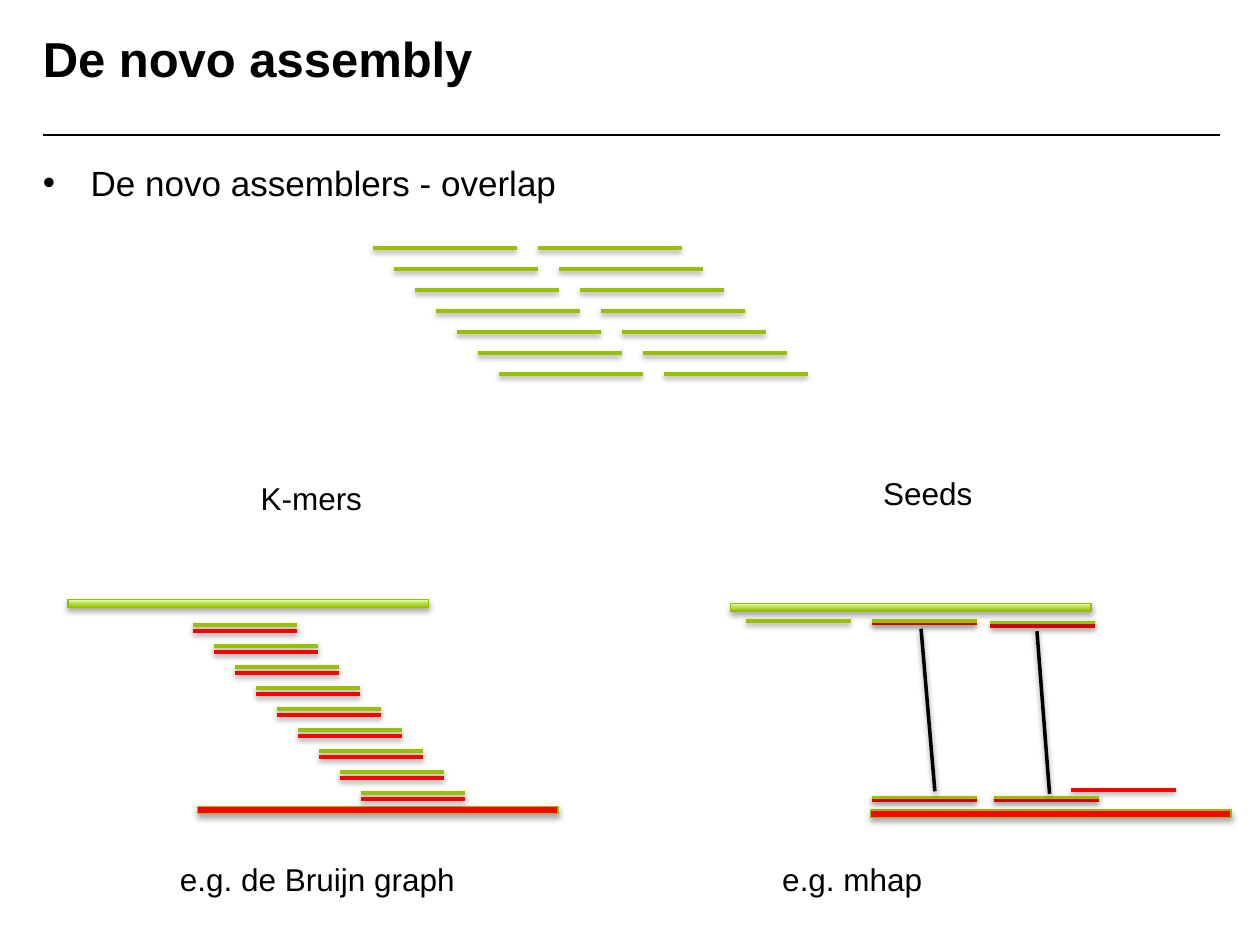
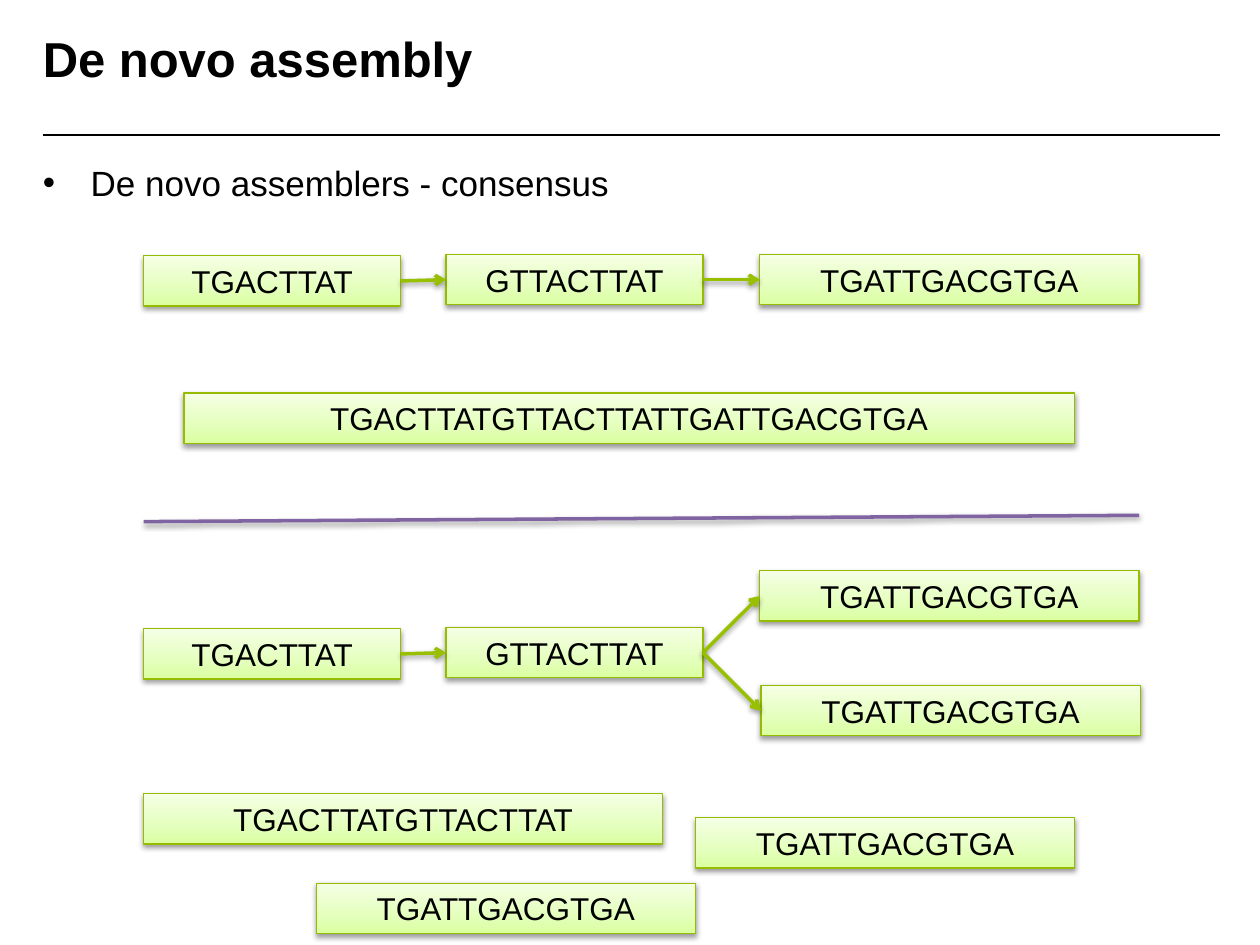
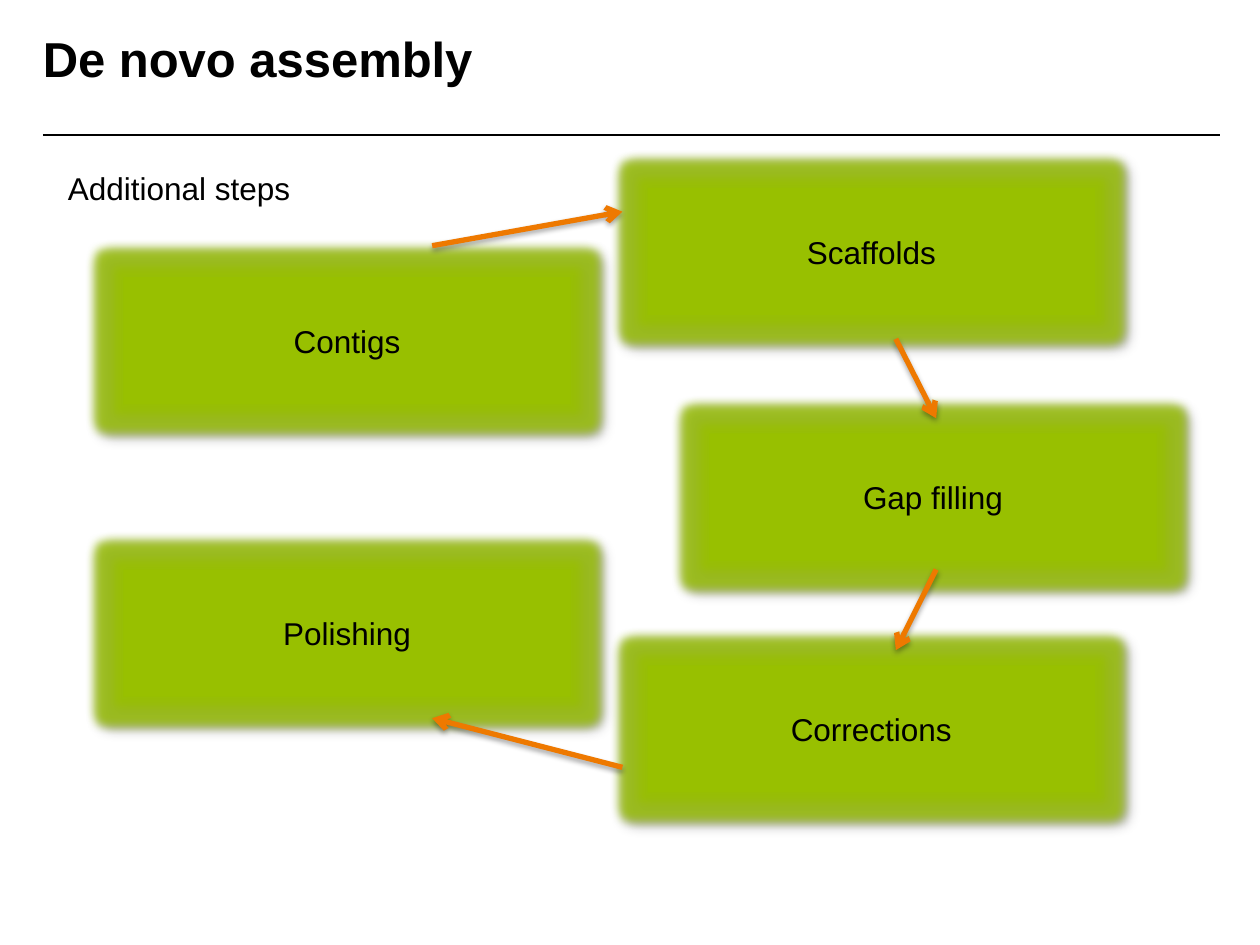
from lxml import etree
from pptx import Presentation
from pptx.dml.color import RGBColor
from pptx.enum.shapes import MSO_CONNECTOR, MSO_SHAPE
from pptx.enum.text import MSO_ANCHOR, PP_ALIGN
from pptx.oxml.ns import qn
from pptx.util import Inches, Pt

STRAIGHT = MSO_CONNECTOR.STRAIGHT
RECTANGLE = MSO_SHAPE.RECTANGLE
TOP, MIDDLE = MSO_ANCHOR.TOP, MSO_ANCHOR.MIDDLE
LEFT, CENTER = PP_ALIGN.LEFT, PP_ALIGN.CENTER

FONT = "Arial"
COLORS = {
    "black": "000000", "green": "98C000", "edge": "95BC00",
    "red": "FF0000", "purple": "8064A2", "orange": "EE7900",
    "pale": "DAFFA0", "paler": "E4FFBC", "palest": "F5FFE5",
}
GRADIENTS = {
    "bar": [(0, "green"), (100, "pale")],
    "sequence": [(0, "pale"), (35, "paler"), (100, "palest")],
}
# Shadows: opacity in percent, blur and distance in points, angle in degrees
SHADOWS = {
    "soft": (38, 3.15, 1.57, 90),
    "lower": (35, 3.15, 1.81, 90),
    "corner": (43, 4, 3, 45),
}

TITLE = "De novo assembly"

# Overlap slide: labels (text, left, top, width)
OVERLAP_LABELS = [
    ("K-mers", 1.97, 3.75, 1.02),
    ("Seeds", 6.91, 3.71, 0.92),
    ("e.g. de Bruijn graph", 1.33, 6.78, 2.41),
    ("e.g. mhap", 6.11, 6.78, 1.32),
]
# Staircases of reads: left, top, length, count, color
STEP = 1 / 6
STAIRCASES = [
    (2.96, 1.97, 1.14, 7, "green"),
    (4.27, 1.97, 1.14, 7, "green"),
    (1.53, 4.96, 0.83, 9, "green"),
    (1.53, 5.01, 0.83, 9, "red"),
]
LONG_READS = [
    (0.54, 4.76, "bar"), (5.8, 4.79, "bar"),
    (1.57, 6.4, "red"), (6.91, 6.43, "red"),
]
SEED_LENGTH = 0.83
SEEDS = [
    (8.5, 6.27, "red"), (5.92, 4.93, "green"),
    (6.92, 6.35, "red"), (6.92, 6.33, "green"),
    (6.92, 4.95, "red"), (6.92, 4.93, "green"),
    (7.89, 6.35, "red"), (7.89, 6.33, "green"),
    (7.86, 4.97, "red"), (7.86, 4.94, "green"),
]
SEED_MATCHES = [((7.31, 4.99), (7.42, 6.28)), ((8.23, 5.01), (8.33, 6.3))]

# Consensus slide: sequences (text, left, top, width)
HEAD, MID, TAIL = "TGACTTAT", "GTTACTTAT", "TGATTGACGTGA"
SEQUENCES = [
    (HEAD, 1.14, 2.03, 2.04),
    (MID, 3.54, 2.02, 2.04),
    (TAIL, 6.03, 2.02, 3.01),
    (HEAD + MID + TAIL, 1.46, 3.12, 7.07),
    (HEAD, 1.14, 4.99, 2.04),
    (MID, 3.54, 4.98, 2.04),
    (TAIL, 6.03, 4.53, 3.01),
    (TAIL, 6.04, 5.44, 3.01),
    (HEAD + MID, 1.14, 6.3, 4.12),
    (TAIL, 5.52, 6.49, 3.01),
    (TAIL, 2.51, 7.01, 3.01),
]
SEQUENCE_HEIGHT = 0.4
# Arrows between sequences, by index
SEQUENCE_LINKS = [(0, 1), (1, 2), (4, 5), (5, 6), (5, 7)]

# Additional steps slide
STEPS = [
    ("Contigs", 0.98, 2.2),
    ("Scaffolds", 5.14, 1.49),
    ("Gap filling", 5.63, 3.44),
    ("Corrections", 5.14, 5.28),
    ("Polishing", 0.98, 4.52),
]
STEP_ARROWS = [
    ((3.43, 1.95), (4.94, 1.68)),
    ((7.11, 2.69), (7.43, 3.32)),
    ((7.43, 4.52), (7.11, 5.16)),
    ((4.94, 6.09), (3.43, 5.7)),
]


def rgb(name):
    return RGBColor.from_string(COLORS[name])


def child(parent, tag, **attributes):
    element = etree.SubElement(parent, qn(tag))
    for key, value in attributes.items():
        element.set(key, str(value))
    return element


def tint(parent, name, opacity=100):
    color = child(parent, "a:srgbClr", val=COLORS[name])
    if opacity < 100:
        child(color, "a:alpha", val=opacity * 1000)


def add_effects(shape, shadow=None, glow=None):
    effects = child(shape._element.spPr, "a:effectLst")
    if glow:
        color, opacity, radius = glow
        tint(child(effects, "a:glow", rad=Pt(radius)), color, opacity)
    if shadow:
        opacity, blur, distance, angle = SHADOWS[shadow]
        outer = child(effects, "a:outerShdw", blurRad=Pt(blur), dist=Pt(distance),
                      dir=angle * 60000, rotWithShape=0)
        tint(outer, "black", opacity)


def fill_gradient(shape, stops):
    """Linear gradient that runs from bottom to top."""
    shape.fill.gradient()
    gradient = shape._element.spPr.find(qn("a:gradFill"))
    for part in list(gradient):
        gradient.remove(part)
    stop_list = child(gradient, "a:gsLst")
    for position, color in stops:
        tint(child(stop_list, "a:gs", pos=position * 1000), color)
    child(gradient, "a:lin", ang=270 * 60000, scaled=0)


def write(box, text, size=18, bold=False, align=LEFT, anchor=TOP,
          wrap=True, inset=None, bullet=False):
    frame = box.text_frame
    frame.word_wrap = wrap
    frame.vertical_anchor = anchor
    if inset is not None:
        frame.margin_left = frame.margin_right = Inches(inset)
        frame.margin_top = frame.margin_bottom = Inches(inset)
    para = frame.paragraphs[0]
    para.alignment = align
    if bullet:
        settings = para._p.get_or_add_pPr()
        settings.set("marL", str(Inches(0.38)))
        settings.set("indent", str(-Inches(0.38)))
        child(settings, "a:buFont", typeface=FONT)
        child(settings, "a:buChar", char="•")
    span = para.add_run()
    span.text = text
    span.font.name = FONT
    span.font.size = Pt(size)
    span.font.bold = bold
    span.font.color.rgb = rgb("black")


def add_text(page, text, left, top, width, height=0.4, **style):
    box = page.shapes.add_textbox(Inches(left), Inches(top), Inches(width), Inches(height))
    write(box, text, **style)


def add_line(page, start, end, color, width=2, shadow="soft", arrow=False):
    line = page.shapes.add_connector(STRAIGHT, *[Inches(v) for v in (*start, *end)])
    line.line.color.rgb = rgb(color)
    line.line.width = Pt(width)
    if arrow:
        child(line.line._get_or_add_ln(), "a:tailEnd", type="arrow")
    add_effects(line, shadow)


def add_box(page, left, top, width, height, fill, edge=None, shadow="soft", glow=None):
    box = page.shapes.add_shape(RECTANGLE, Inches(left), Inches(top),
                                Inches(width), Inches(height))
    if fill in GRADIENTS:
        fill_gradient(box, GRADIENTS[fill])
    else:
        box.fill.solid()
        box.fill.fore_color.rgb = rgb(fill)
    if edge:
        box.line.color.rgb = rgb(edge)
        box.line.width = Pt(0.75)
    else:
        box.line.fill.background()
    add_effects(box, shadow, glow)
    return box


def add_page(deck, bullet=None):
    """Blank page with the shared title, rule and optional bullet line."""
    page = deck.slides.add_slide(deck.slide_layouts[6])
    add_line(page, (0.34, 1.07), (9.68, 1.07), "black", width=1, shadow=None)
    add_text(page, TITLE, 0.34, 0.23, 7.27, 0.63, size=28, bold=True, inset=0)
    if bullet:
        add_text(page, bullet, 0.34, 1.28, 9.34, 5.42, size=20, inset=0, bullet=True)
    return page


def build_overlap(deck):
    page = add_page(deck, "De novo assemblers - overlap")
    for label in OVERLAP_LABELS:
        add_text(page, *label, wrap=False)
    for left, top, fill in LONG_READS:
        add_box(page, left, top, 2.86, 0.06, fill, edge="edge", shadow="lower")
    for left, top, length, count, color in STAIRCASES:
        for index in range(count):
            x, y = left + index * STEP, top + index * STEP
            add_line(page, (x, y), (x + length, y), color)
    for x, y, color in SEEDS:
        add_line(page, (x, y), (x + SEED_LENGTH, y), color)
    for start, end in SEED_MATCHES:
        add_line(page, start, end, "black")


def build_consensus(deck):
    page = add_page(deck, "De novo assemblers - consensus")
    for text, left, top, width in SEQUENCES:
        box = add_box(page, left, top, width, SEQUENCE_HEIGHT, "sequence", edge="edge")
        write(box, text, align=CENTER, anchor=MIDDLE)
    # Arrows run from the right edge of one sequence to the left edge of the next
    for source, target in SEQUENCE_LINKS:
        _, left, top, width = SEQUENCES[source]
        _, next_left, next_top, _ = SEQUENCES[target]
        half = SEQUENCE_HEIGHT / 2
        add_line(page, (left + width, top + half), (next_left, next_top + half),
                 "green", arrow=True)
    add_line(page, (1.14, 4.14), (9.04, 4.09), "purple")


def build_steps(deck):
    page = add_page(deck)
    for text, left, top in STEPS:
        box = add_box(page, left, top, 3.55, 1.01, "green", shadow="corner",
                      glow=("green", 80, 11))
        write(box, text, align=CENTER, anchor=MIDDLE)
    for start, end in STEP_ARROWS:
        add_line(page, start, end, "orange", width=3, shadow="lower", arrow=True)
    add_text(page, "Additional steps", 0.44, 1.29, 2, wrap=False)


def main():
    deck = Presentation()
    deck.slide_width, deck.slide_height = Inches(10), Inches(7.5)
    build_overlap(deck)
    build_consensus(deck)
    build_steps(deck)
    deck.save("out.pptx")


if __name__ == "__main__":
    main()
